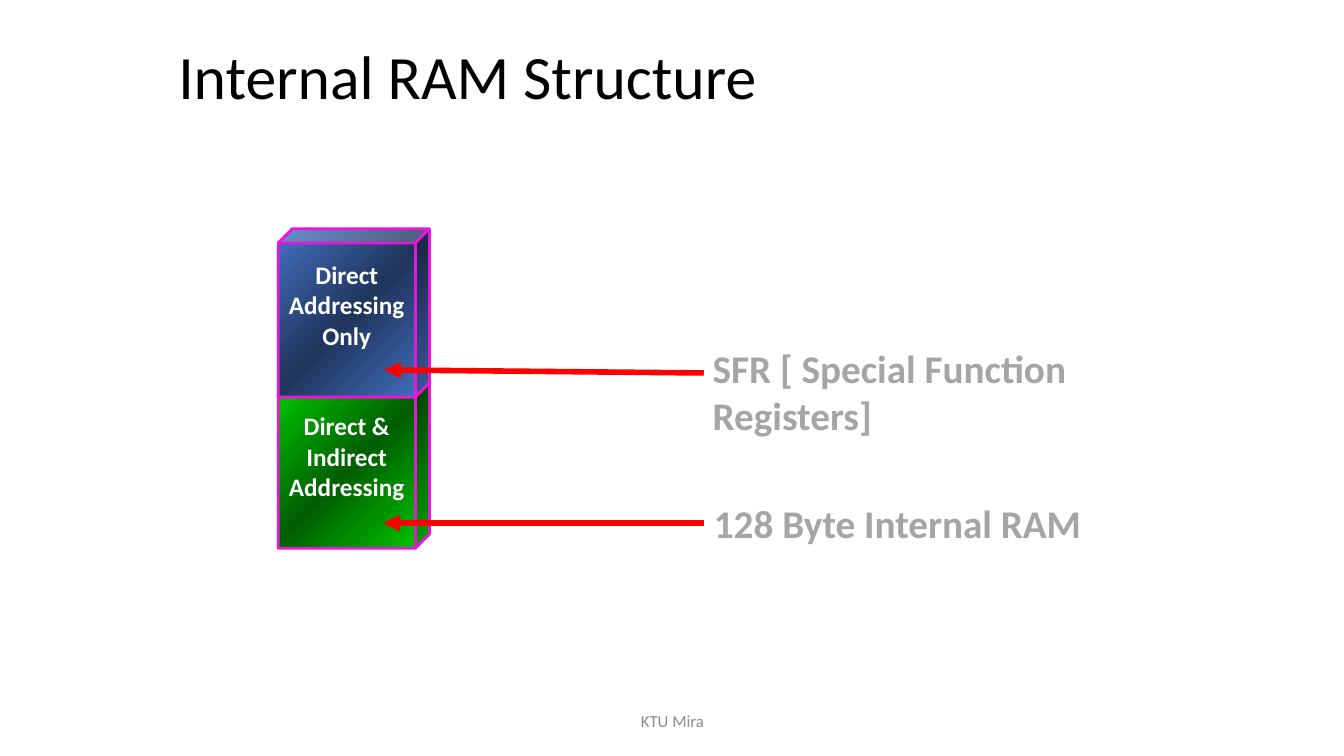
from copy import deepcopy

from pptx import Presentation
from pptx.dml.color import RGBColor
from pptx.enum.shapes import MSO_CONNECTOR as LINE, MSO_SHAPE as SHAPE
from pptx.enum.text import MSO_ANCHOR as ANCHOR, PP_ALIGN as ALIGN
from pptx.oxml.ns import qn
from pptx.util import Inches, Pt
from lxml import etree


def color(code):
    return RGBColor.from_string(code)


def write(frame, text, size=18, fill="000000", bold=False, align=ALIGN.LEFT,
          anchor=ANCHOR.TOP, wrap=True, space=None):
    """Fill a text frame, one paragraph for each line of text."""
    frame.word_wrap = wrap
    frame.vertical_anchor = anchor
    for i, line in enumerate(text.split("\n")):
        para = frame.add_paragraph() if i else frame.paragraphs[0]
        para.alignment = align
        para.line_spacing = space
        run = para.add_run()
        run.text = line
        font = run.font
        font.name, font.size, font.bold = "Calibri", Pt(size), bold
        font.color.rgb = color(fill)


def label(slide, box, text, **style):
    shape = slide.shapes.add_textbox(*map(Inches, box))
    write(shape.text_frame, text, **style)


def shade(shape, edge, middle):
    """Give a diagonal gradient that runs from edge to middle and back."""
    fill = shape.fill
    fill.gradient()
    fill.gradient_angle = 315
    first, last = fill.gradient_stops
    for stop, place in (first, 0), (last, 1):
        stop.color.rgb = color(edge)
        stop.position = place
    stops = shape._element.spPr.find(qn("a:gradFill")).find(qn("a:gsLst"))
    stops.insert(1, deepcopy(stops[0]))
    center = fill.gradient_stops[1]
    center.color.rgb = color(middle)
    center.position = 0.5


def block(slide, box, text, edge, middle):
    cube = slide.shapes.add_shape(SHAPE.CUBE, *map(Inches, box))
    cube.adjustments[0] = 0.094
    cube.shadow.inherit = False
    shade(cube, edge, middle)
    cube.line.color.rgb = color("ED13DD")
    cube.line.width = Pt(2)
    cube.text_frame.margin_bottom = Inches(0.35)
    write(cube.text_frame, text, fill="FFFFFF", bold=True,
          align=ALIGN.CENTER, anchor=ANCHOR.MIDDLE, wrap=False)


def arrow(slide, start, end):
    link = slide.shapes.add_connector(LINE.STRAIGHT, *map(Inches, start + end))
    link.line.color.rgb = color("FF0000")
    link.line.width = Pt(4)
    etree.SubElement(link.line._get_or_add_ln(), qn("a:tailEnd"), type="triangle")
    etree.SubElement(link._element.spPr, qn("a:effectLst"))


def memory(slide, box):
    """Stack the two RAM blocks, the upper one in front."""
    left, top, width, height = box
    block(slide, (left, top + 1.5, width, height),
          "Direct &\nIndirect\nAddressing", "00CC00", "005E00")
    block(slide, box, "Direct\nAddressing\nOnly", "4472C4", "1F355B")


def legend(slide, left, top):
    """Name each block and point an arrow at it."""
    arrow(slide, (left + 0.01, top + 0.33), (left - 3.16, top + 0.3))
    arrow(slide, (left + 0.01, top + 1.82), (left - 3.17, top + 1.82))
    style = dict(size=28, fill="A5A5A5", bold=True)
    label(slide, (left, top, 4.69, 1.04),
          "SFR [ Special Function Registers]", **style)
    label(slide, (left - 0.13, top + 1.53, 4.12, 0.57),
          "128 Byte Internal RAM", align=ALIGN.CENTER, **style)


def main():
    deck = Presentation()
    deck.slide_width, deck.slide_height = Inches(13.33), Inches(7.5)
    slide = deck.slides.add_slide(deck.slide_layouts[6])
    label(slide, (1.67, 0.16, 10, 1.25), "Internal RAM Structure",
          size=44, anchor=ANCHOR.MIDDLE, space=0.9)
    memory(slide, (2.76, 2.27, 1.5, 1.67))
    legend(slide, 6.97, 3.37)
    label(slide, (4.42, 6.95, 4.5, 0.4), "KTU Mira", size=12, fill="8C8C8C",
          align=ALIGN.CENTER, anchor=ANCHOR.MIDDLE)
    deck.save("out.pptx")


if __name__ == "__main__":
    main()
